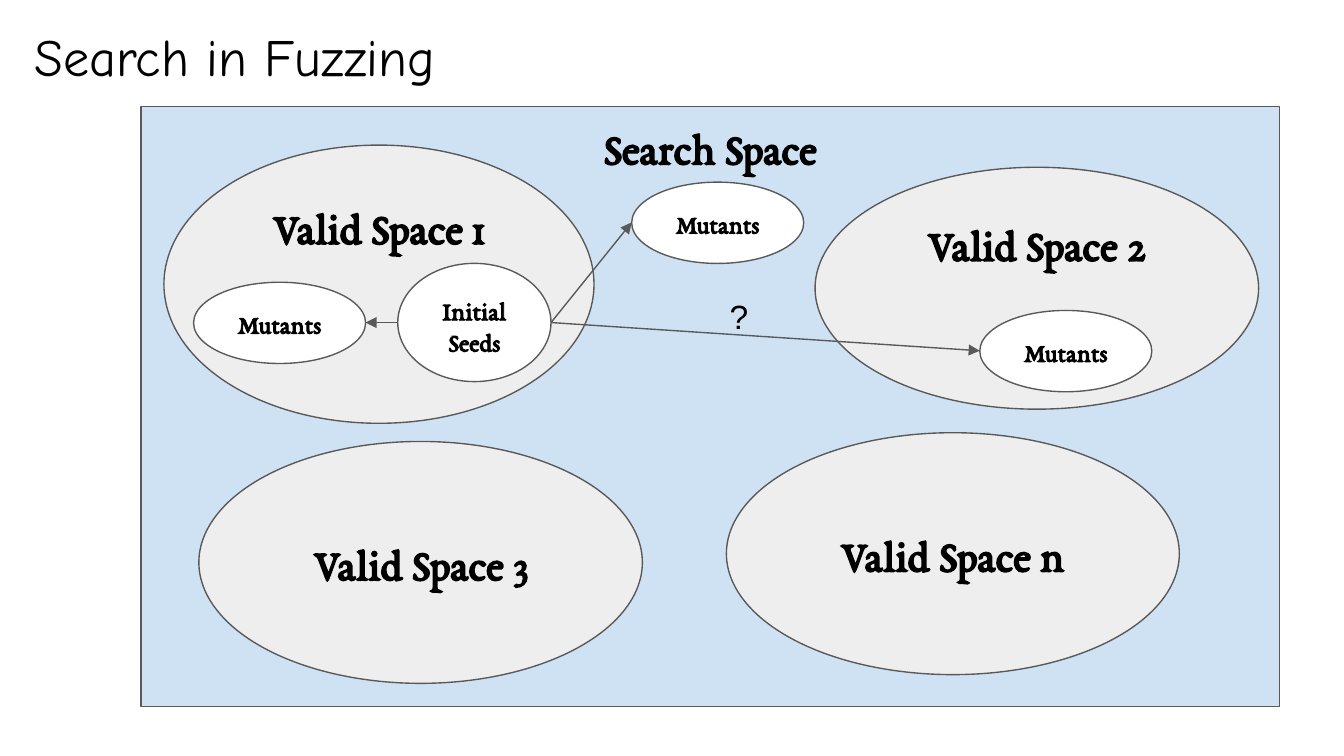
from lxml import etree
from pptx import Presentation
from pptx.dml.color import RGBColor
from pptx.enum.shapes import MSO_CONNECTOR, MSO_SHAPE
from pptx.enum.text import MSO_ANCHOR, MSO_AUTO_SIZE, PP_ALIGN
from pptx.oxml.ns import qn
from pptx.util import Pt

RECT, OVAL = MSO_SHAPE.RECTANGLE, MSO_SHAPE.OVAL
STRAIGHT = MSO_CONNECTOR.STRAIGHT
TOP, MIDDLE = MSO_ANCHOR.TOP, MSO_ANCHOR.MIDDLE
LEFT, CENTER = PP_ALIGN.LEFT, PP_ALIGN.CENTER
NO_FIT = MSO_AUTO_SIZE.NONE

PX = 4572  # EMU per px, 200 px to the inch
COLORS = {"space": "CFE2F3", "valid": "EEEEEE", "node": "FFFFFF",
          "line": "595959", "text": "000000"}
SERIF, HAND, SANS = "EB Garamond", "Comic Neue", "Arial"
MUTANTS_SIZE = (256, 121)


def rgb(name):
    return RGBColor.from_string(COLORS[name])


def emu(*lengths):
    return [n * PX for n in lengths]


def write(sp, text, size, font, bold=False, align=LEFT, anchor=TOP):
    tf = sp.text_frame
    tf.text = text
    tf.word_wrap = True
    tf.auto_size = NO_FIT
    tf.vertical_anchor = anchor
    tf.margin_left = tf.margin_right = tf.margin_top = tf.margin_bottom = 20 * PX
    p = tf.paragraphs[0]
    p.alignment = align
    f = p.runs[0].font
    f.size, f.name, f.bold = Pt(size), font, bold
    f.color.rgb = rgb("text")


def add_area(s, kind, box, fill, text, size, anchor=TOP):
    sp = s.shapes.add_shape(kind, *emu(*box))
    sp.shadow.inherit = False
    sp.fill.solid()
    sp.fill.fore_color.rgb = rgb(fill)
    sp.line.color.rgb = rgb("line")
    sp.line.width = Pt(0.75)
    write(sp, text, size, SERIF, True, CENTER, anchor)


def add_arrow(s, start, end):
    cxn = s.shapes.add_connector(STRAIGHT, *emu(*start, *end))
    cxn.line.color.rgb = rgb("line")
    cxn.line.width = Pt(0.75)
    ln = cxn._element.spPr.find(qn("a:ln"))
    etree.SubElement(ln, qn("a:tailEnd"), type="triangle")
    etree.SubElement(cxn._element.spPr, qn("a:effectLst"))


def left_of(box):
    x, y, w, h = box
    return x, y + h // 2


def right_of(box):
    x, y, w, h = box
    return x + w, y + h // 2


def add_title(s, box):
    title = s.shapes.title
    title.left, title.top, title.width, title.height = emu(*box)
    write(title, "Search in Fuzzing", 28, HAND)


def add_search_space(s, box):
    x, y, w, h = box

    def place(dx, dy, width, height):
        return x + dx, y + dy, width, height

    add_area(s, RECT, box, "space", "Search Space", 24)

    # Valid spaces
    for name, area, anchor in [("1", (34, 58, 640, 414), TOP),
                               ("2", (1003, 91, 660, 360), TOP),
                               ("3", (86, 499, 660, 360), MIDDLE),
                               ("n", (871, 486, 674, 360), MIDDLE)]:
        add_area(s, OVAL, place(*area), "valid", f"Valid Space {name}", 24, anchor)

    # Seeds and their mutants
    seeds = place(382, 234, 228, 176)
    near, outside, far = [place(dx, dy, *MUTANTS_SIZE)
                          for dx, dy in [(78, 262), (730, 113), (1248, 304)]]
    add_area(s, OVAL, seeds, "node", "Initial Seeds", 14)
    for mutants in (near, outside, far):
        add_area(s, OVAL, mutants, "node", "Mutants", 14)

    # Mutation steps
    add_arrow(s, left_of(seeds), right_of(near))
    add_arrow(s, right_of(seeds), left_of(outside))
    add_arrow(s, right_of(seeds), left_of(far))
    question = s.shapes.add_textbox(*emu(*place(856, 262, 88, 78)))
    write(question, "?", 18, SANS)


def main():
    prs = Presentation()
    prs.slide_width, prs.slide_height = emu(2000, 1125)
    s = prs.slides.add_slide(prs.slide_layouts[5])
    add_title(s, (32, 16, 846, 114))
    add_search_space(s, (210, 158, 1694, 893))
    prs.save("out.pptx")


if __name__ == "__main__":
    main()
